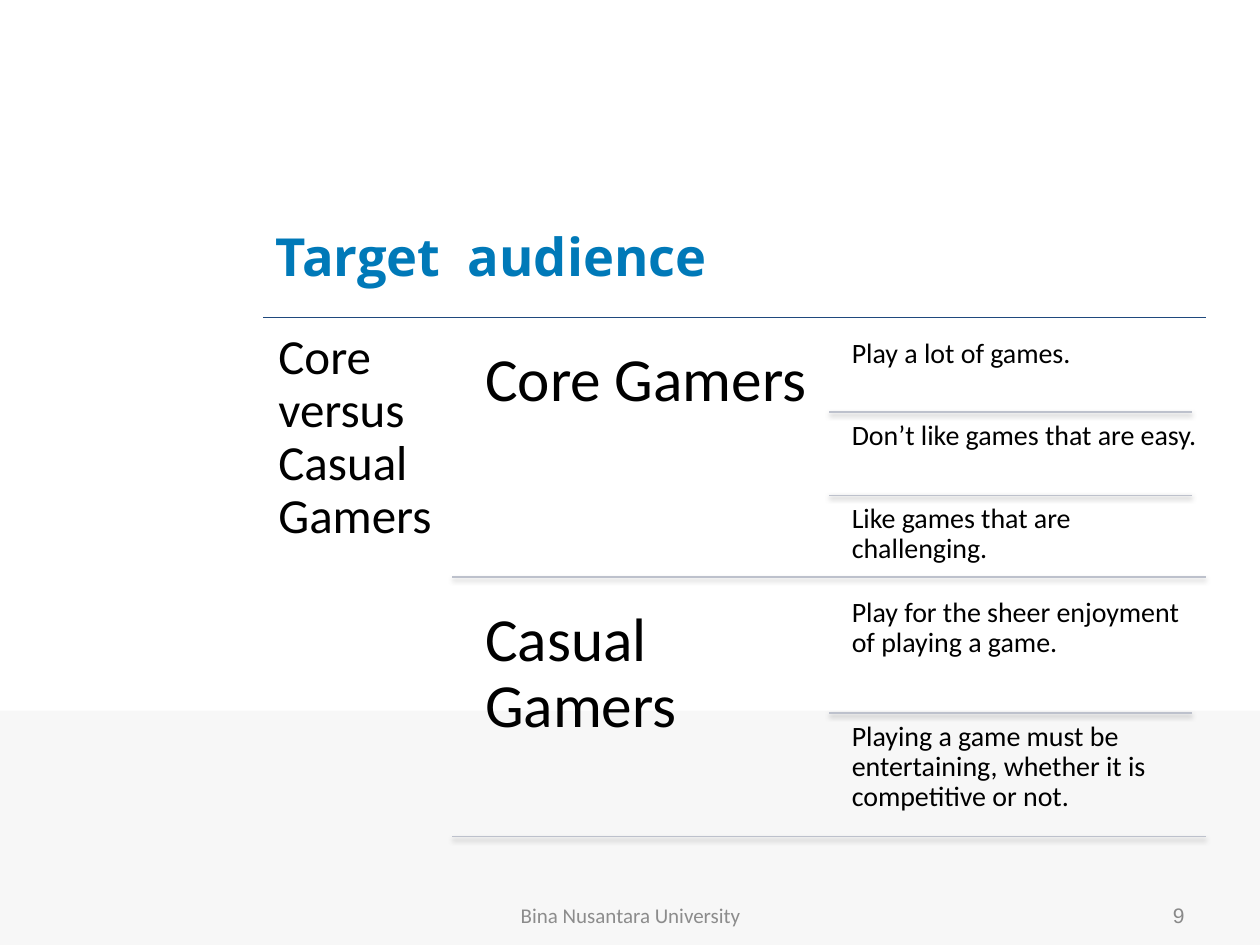
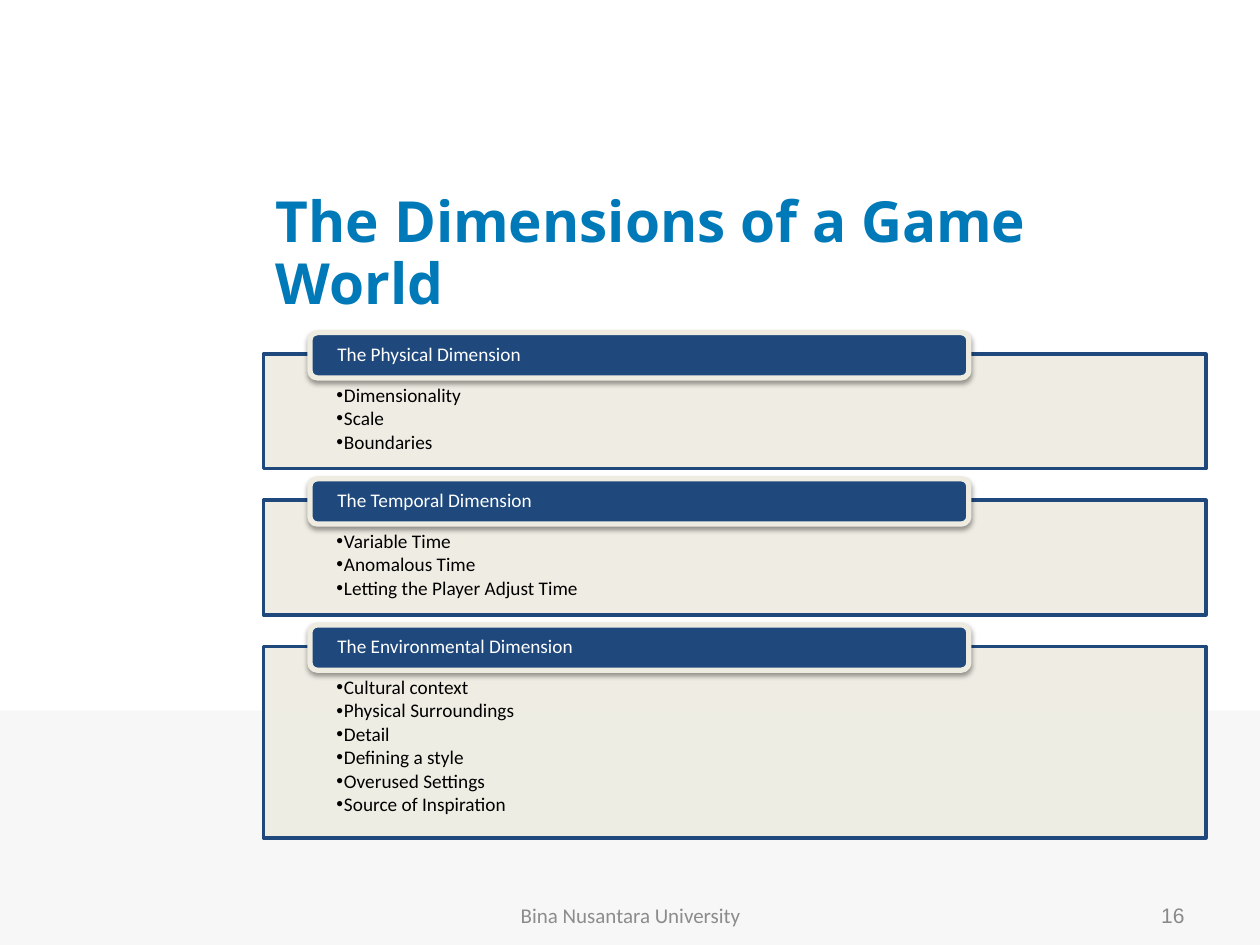
"""Build two slides on game audiences and the dimensions of a game world."""
from lxml.etree import SubElement
from pptx import Presentation
from pptx.dml.color import RGBColor
from pptx.enum.shapes import MSO_CONNECTOR, MSO_SHAPE
from pptx.enum.text import MSO_ANCHOR, MSO_AUTO_SIZE, PP_ALIGN
from pptx.oxml.ns import qn
from pptx.util import Pt

SCALE = 9144
LEFT, RIGHT = 209, 957
NAVY, CREAM, RULE, BLACK, WHITE = "1F497D", "EEECE1", "BDC1CC", "000000", "FFFFFF"
SOFT = {"alpha": 38, "dist": 1.6}
FIRM = {"alpha": 35, "dist": 1.8}
TIGHT = {"line_spacing": 0.9}
ITEM = {"line_spacing": 0.9, "space_after": Pt(1.5)}


def px(*values):
    """Turn px lengths into EMU."""
    return [round(value) * SCALE for value in values]


def color(code):
    """Turn a hex string into a colour."""
    return RGBColor.from_string(code)


def apply(target, values):
    """Set each named value on the target."""
    for name, value in values.items():
        setattr(target, name, value)


class Deck:
    """Hold the shared style and the current slide."""

    def __init__(self):
        """Start an empty 4:3 deck."""
        self.prs = Presentation()
        self.prs.slide_width, self.prs.slide_height = px(1000, 750)
        self.slide = None

    def page(self, title, number, size, gap=1.0):
        """Add a slide with its title, band and footer."""
        self.slide = self.prs.slides.add_slide(self.prs.slide_layouts[5])
        head = self.slide.shapes.title
        apply(head, dict(zip(("left", "top", "width", "height"), px(LEFT, 159, 748, 87))))
        self.letter(head, [title], size, "0079B8", font="Open Sans", bold=True,
                    pads=(10, 5, 10, 5), anchor=MSO_ANCHOR.MIDDLE,
                    form={"alignment": PP_ALIGN.LEFT, "line_spacing": gap})
        self.shape((0, 564, 1000, 186), "F7F7F7")
        foot = {"pads": (10, 5, 10, 5), "anchor": MSO_ANCHOR.MIDDLE}
        self.text((342, 706, 317, 40), "Bina Nusantara University", 12, "8C8C8C",
                  form={"alignment": PP_ALIGN.CENTER}, **foot)
        self.text((717, 706, 233, 40), str(number), 12, "898989", font="Arial",
                  form={"alignment": PP_ALIGN.RIGHT}, **foot)

    def letter(self, shape, lines, size, ink, font="Calibri", bold=False,
               pads=(0, 0, 0, 0), anchor=MSO_ANCHOR.TOP, form=TIGHT, dots=False):
        """Fill a shape with formatted paragraphs."""
        frame = shape.text_frame
        names = ("margin_left", "margin_top", "margin_right", "margin_bottom")
        apply(frame, {"word_wrap": True, "auto_size": MSO_AUTO_SIZE.NONE,
                      "vertical_anchor": anchor, **dict(zip(names, px(*pads)))})
        frame.text = "\n".join(lines)
        for para in frame.paragraphs:
            if dots:
                self.bullet(para)
            apply(para, form)
            apply(para.font, {"size": Pt(size), "name": font, "bold": bold})
            para.font.color.rgb = color(ink)

    def bullet(self, para):
        """Give a paragraph a hanging dot."""
        props = para._p.get_or_add_pPr()
        props.set("marL", str(6 * SCALE))
        props.set("indent", str(-6 * SCALE))
        SubElement(props, qn("a:buFont"), typeface="Arial")
        SubElement(props, qn("a:buChar"), char="•")

    def text(self, box, words, size, ink=BLACK, **style):
        """Add a text box of one paragraph."""
        self.letter(self.slide.shapes.add_textbox(*px(*box)), [words], size, ink, **style)

    def shape(self, box, fill, edge=None, width=0, kind=MSO_SHAPE.RECTANGLE, alpha=None):
        """Add a preset shape with a flat fill."""
        item = self.slide.shapes.add_shape(kind, *px(*box))
        item.shadow.inherit = False
        item.fill.solid()
        item.fill.fore_color.rgb = color(fill)
        if alpha:
            tint = item._element.spPr.find(".//" + qn("a:srgbClr"))
            SubElement(tint, qn("a:alpha"), val=str(alpha * 1000))
        if edge:
            item.line.color.rgb = color(edge)
            item.line.width = Pt(width)
        else:
            item.line.fill.background()
        return item

    def line(self, left, right, top, ink=RULE, shade=SOFT):
        """Add a thin level line with a shadow."""
        rule = self.slide.shapes.add_connector(
            MSO_CONNECTOR.STRAIGHT, *px(left, top, right, top))
        rule.line.color.rgb = color(ink)
        rule.line.width = Pt(0.75)
        SubElement(rule._element.spPr, qn("a:effectLst"))
        self.shade(rule, **shade)

    def shade(self, item, alpha, dist):
        """Cast a soft shadow straight down."""
        effect = item._element.spPr.find(qn("a:effectLst"))
        cast = SubElement(effect, qn("a:outerShdw"), blurRad=str(Pt(3.1)),
                          dist=str(Pt(dist)), dir="5400000", rotWithShape="0")
        ink = SubElement(cast, qn("a:srgbClr"), val=BLACK)
        SubElement(ink, qn("a:alpha"), val=str(alpha * 1000))

    def group(self, top, height, name, notes):
        """Add a gamer type with its ruled notes."""
        self.text((370, top, 288, height), name, 35, pads=(15,) * 4)
        step = height / len(notes)
        for row, note in enumerate(notes):
            start = top + row * step
            if row:
                self.line(658, 946, start)
            self.text((669, start, 288, step), note, 16, pads=(7,) * 4)
        self.line(359, RIGHT, top + height)

    def panel(self, top, height, name, items):
        """Add a framed list with a name tag on its edge."""
        frame = self.shape((LEFT, top, RIGHT - LEFT, height), CREAM, NAVY, 2, alpha=90)
        self.letter(frame, items, 11, BLACK, pads=(58, 25, 58, 9),
                    form={"alignment": PP_ALIGN.LEFT, **ITEM}, dots=True)
        tag = self.shape((246, top - 17, 523, 36), NAVY, CREAM, 3,
                         MSO_SHAPE.ROUNDED_RECTANGLE)
        self.shade(tag, **SOFT)
        self.letter(tag, [name], 11, WHITE, pads=(20, 0, 20, 0),
                    anchor=MSO_ANCHOR.MIDDLE, form={"alignment": PP_ALIGN.LEFT, **TIGHT})


def gamers(deck):
    """Build the slide on core and casual gamers."""
    deck.page("Target  audience", 9, 30)
    deck.line(LEFT, RIGHT, 252, NAVY, FIRM)
    deck.text((LEFT, 252, 150, 423), "Core versus Casual Gamers", 28, pads=(12,) * 4)
    types = {
        "Core Gamers": [
            "Play a lot of games.",
            "Don’t like games that are easy.",
            "Like games that are challenging.",
        ],
        "Casual Gamers": [
            "Play for the sheer enjoyment of playing a game.",
            "Playing a game must be entertaining, whether it is competitive or not.",
        ],
    }
    height, gap = 196, 10
    for row, (name, notes) in enumerate(types.items()):
        deck.group(262 + row * (height + gap), height, name, notes)


def worlds(deck):
    """Build the slide on the dimensions of a game world."""
    deck.page("The Dimensions of a Game World", 16, 32.4, 0.9)
    panels = [
        (91, "The Physical Dimension", ["Dimensionality", "Scale", "Boundaries"]),
        (91, "The Temporal Dimension",
         ["Variable Time", "Anomalous Time", "Letting the Player Adjust Time"]),
        (152, "The Environmental Dimension",
         ["Cultural context", "Physical Surroundings", "Detail",
          "Defining a style", "Overused Settings", "Source of Inspiration"]),
    ]
    top, gap = 281, 25
    for height, name, items in panels:
        deck.panel(top, height, name, items)
        top += height + gap


def main():
    """Build and save the deck."""
    deck = Deck()
    gamers(deck)
    worlds(deck)
    deck.prs.save("out.pptx")


if __name__ == "__main__":
    main()
